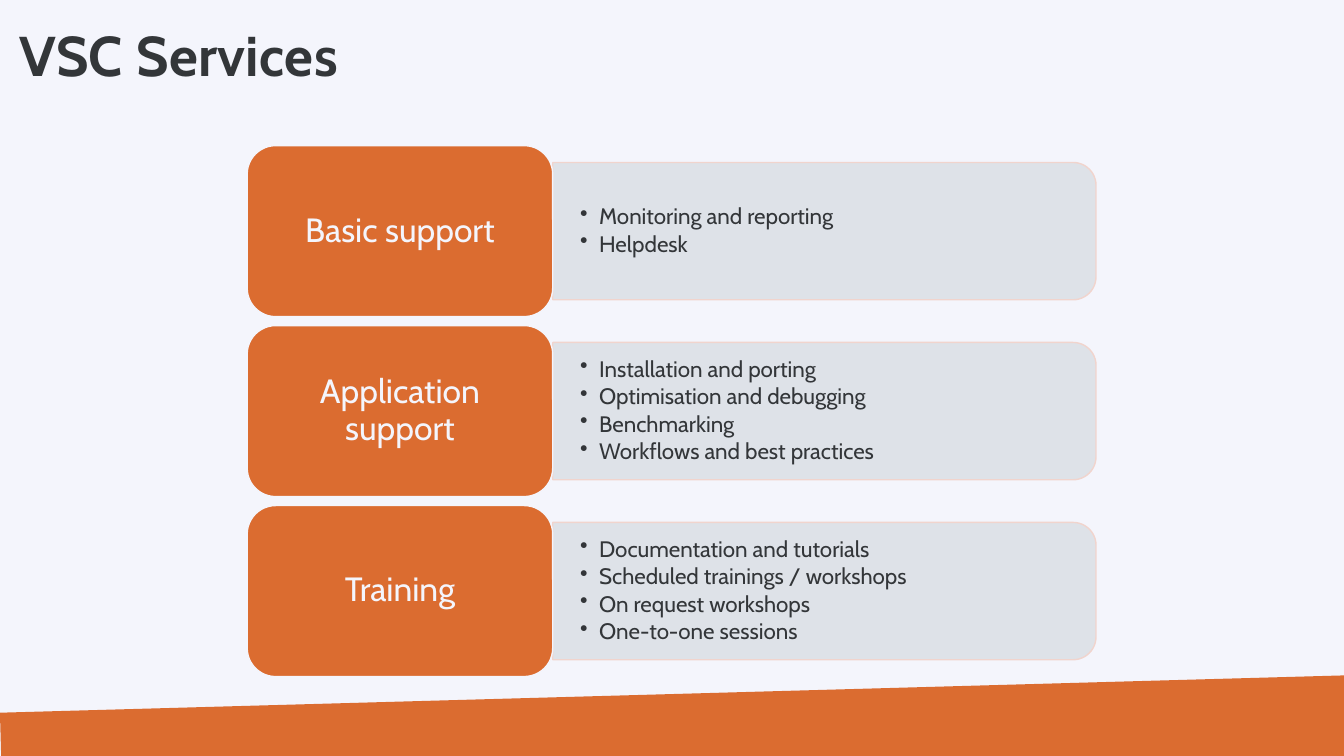
from lxml import etree
from pptx import Presentation
from pptx.dml.color import RGBColor
from pptx.enum.shapes import MSO_SHAPE
from pptx.enum.text import MSO_ANCHOR, PP_ALIGN
from pptx.oxml.ns import qn
from pptx.util import Cm, Pt

ROUNDED = MSO_SHAPE.ROUNDED_RECTANGLE
TOP_ROUNDED = MSO_SHAPE.ROUND_2_SAME_RECTANGLE
MIDDLE = MSO_ANCHOR.MIDDLE
CENTER, LEFT = PP_ALIGN.CENTER, PP_ALIGN.LEFT

BACKGROUND = RGBColor(0xF4, 0xF5, 0xFC)
ORANGE = RGBColor(0xDB, 0x6C, 0x30)
DARK = RGBColor(0x33, 0x36, 0x39)
GREY = RGBColor(0xDC, 0xE0, 0xE6)
PINK = RGBColor(0xF1, 0xD4, 0xCD)

SERVICES = [
    ("Basic support", ["Monitoring and reporting", "Helpdesk"]),
    ("Application support", ["Installation and porting", "Optimisation and debugging",
                             "Benchmarking", "Workflows and best practices"]),
    ("Training", ["Documentation and tutorials", "Scheduled trainings / workshops",
                  "On request workshops", "One-to-one sessions"]),
]


def write(paragraph, text, size, color, bold=False, align=LEFT, line_spacing=None,
          space_after=None, bullet=False, tracking=None):
    properties = paragraph._p.get_or_add_pPr()
    if bullet:
        properties.set("marL", str(Cm(0.48)))
        properties.set("indent", str(-Cm(0.48)))
        etree.SubElement(properties, qn("a:buChar")).set("char", "•")
    paragraph.alignment = align
    paragraph.line_spacing = line_spacing
    paragraph.space_after = space_after
    run = paragraph.add_run()
    run.text = text
    run.font.name = "Cabin"
    run.font.size = Pt(size)
    run.font.bold = bold
    run.font.color.rgb = color
    if tracking:
        run._r.get_or_add_rPr().set("spc", str(tracking))


def paint(shape, fill, line=None):
    shape.shadow.inherit = False
    shape.fill.solid()
    shape.fill.fore_color.rgb = fill
    if line is None:
        shape.line.fill.background()
    else:
        shape.line.color.rgb = line
        shape.line.width = Pt(1)


presentation = Presentation()
presentation.slide_width = Cm(33.87)
presentation.slide_height = Cm(19.05)
slide = presentation.slides.add_slide(presentation.slide_layouts[6])
slide.background.fill.solid()
slide.background.fill.fore_color.rgb = BACKGROUND

# Slanted footer band
builder = slide.shapes.build_freeform(Cm(0), Cm(17.96))
builder.add_line_segments([(Cm(33.87), Cm(17.02)), (Cm(33.87), Cm(19.05)),
                           (Cm(0.03), Cm(19.05))])
paint(builder.convert_to_shape(), ORANGE)

# Title
title = slide.shapes.add_textbox(Cm(0.48), Cm(0.53), Cm(21.5), Cm(1.75)).text_frame
title.word_wrap = True
title.margin_left = title.margin_top = title.margin_right = title.margin_bottom = 0
write(title.paragraphs[0], "VSC Services", 40, DARK, bold=True, tracking=30)

# Service rows: grey panel with bullets, orange card with the name
card_left, card_width, card_height = Cm(6.23), Cm(7.7), Cm(4.31)
panel_width, panel_height = Cm(13.69), Cm(3.46)
panel_left = card_left + card_width
first_top, row_pitch = Cm(3.67), Cm(4.535)

for row, (service, items) in enumerate(SERVICES):
    card_top = first_top + row * row_pitch
    panel_top = card_top + (card_height - panel_height) // 2

    # The panel is upright and turned a quarter, so its sides are swapped
    shift = (panel_width - panel_height) // 2
    panel = slide.shapes.add_shape(TOP_ROUNDED, panel_left + shift, panel_top - shift,
                                   panel_height, panel_width)
    panel.rotation = 90
    paint(panel, GREY, PINK)
    color = panel.fill._xPr.find(qn("a:solidFill"))[0]
    etree.SubElement(color, qn("a:alpha")).set("val", "90000")

    bullets = slide.shapes.add_textbox(panel_left, panel_top + Cm(0.17),
                                       Cm(13.53), Cm(3.12)).text_frame
    bullets.word_wrap = True
    bullets.vertical_anchor = MIDDLE
    bullets.margin_left = bullets.margin_right = Cm(0.69)
    bullets.margin_top = bullets.margin_bottom = Cm(0.35)
    for number, item in enumerate(items):
        paragraph = bullets.add_paragraph() if number else bullets.paragraphs[0]
        write(paragraph, item, 16, DARK, line_spacing=0.9, space_after=Pt(2.4), bullet=True)

    card = slide.shapes.add_shape(ROUNDED, card_left, card_top, card_width, card_height)
    paint(card, ORANGE, BACKGROUND)
    card.text_frame.word_wrap = True
    card.text_frame.vertical_anchor = MIDDLE
    write(card.text_frame.paragraphs[0], service, 24, BACKGROUND, align=CENTER,
          line_spacing=0.9)

presentation.save("out.pptx")
